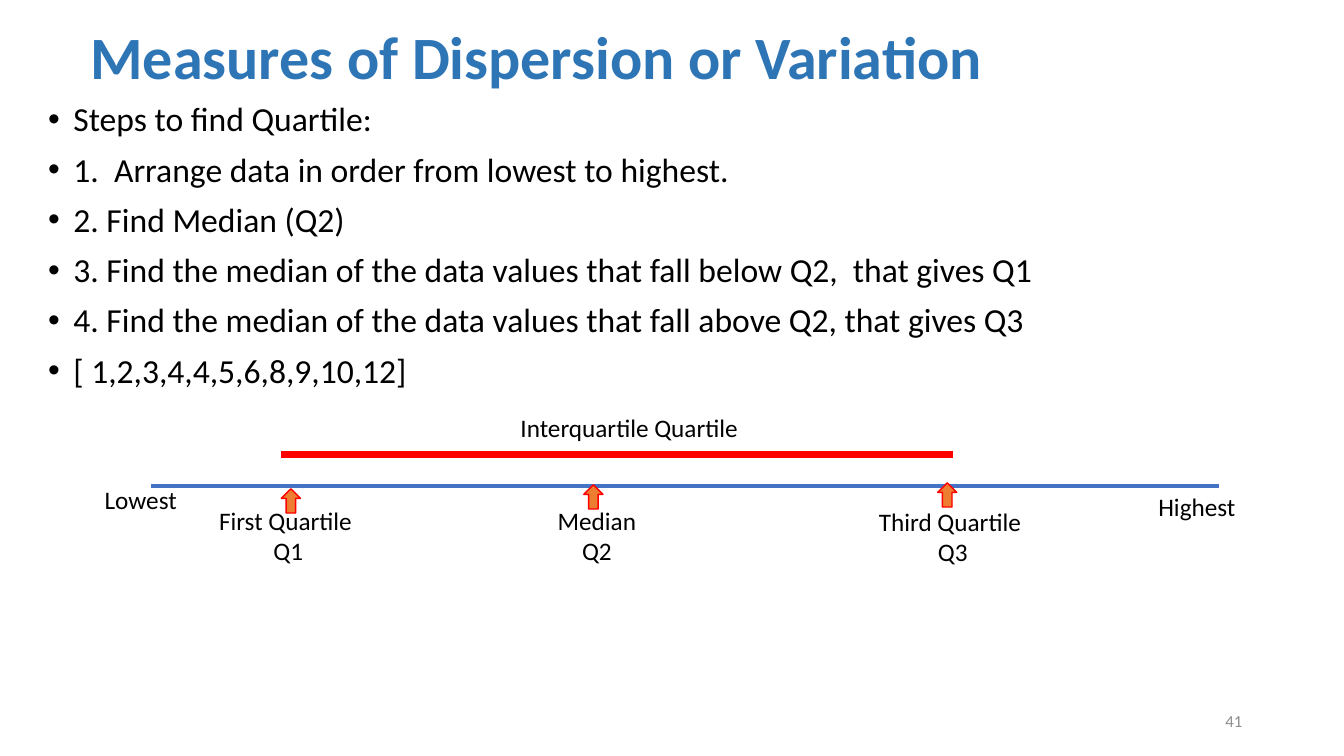
from dataclasses import dataclass

from lxml import etree
from pptx import Presentation
from pptx.dml.color import RGBColor
from pptx.enum.shapes import MSO_CONNECTOR, MSO_SHAPE
from pptx.enum.text import MSO_ANCHOR, PP_ALIGN
from pptx.oxml.ns import qn
from pptx.util import Inches, Pt

LEFT, MID, RIGHT = PP_ALIGN.LEFT, PP_ALIGN.CENTER, PP_ALIGN.RIGHT
TOP, CENTER = MSO_ANCHOR.TOP, MSO_ANCHOR.MIDDLE
STRAIGHT, ARROW = MSO_CONNECTOR.STRAIGHT, MSO_SHAPE.UP_ARROW


@dataclass(frozen=True)
class Theme:
    face: str = "Calibri"
    ink: RGBColor = RGBColor(0, 0, 0)
    title: RGBColor = RGBColor(0x2E, 0x75, 0xB6)
    muted: RGBColor = RGBColor(0x8C, 0x8C, 0x8C)
    axis: RGBColor = RGBColor(0x44, 0x72, 0xC4)
    range: RGBColor = RGBColor(0xFF, 0, 0)
    arrow: RGBColor = RGBColor(0xED, 0x7D, 0x31)
    head_size: float = 42.9
    body_size: int = 24
    label_size: int = 18
    foot_size: int = 12


THEME = Theme()

STEPS = [
    "Steps to find Quartile:",
    "1.  Arrange data in order from lowest to highest.",
    "2. Find Median (Q2)",
    "3. Find the median of the data values that fall below Q2,  that gives Q1",
    "4. Find the median of the data values that fall above Q2, that gives Q3",
    "[ 1,2,3,4,4,5,6,8,9,10,12]",
]

MARKS = [
    (["First Quartile ", "Q1"], 1.98, 4.96, 2.79, 4.85),
    (["Median", "Q2"], 5.04, 4.96, 5.79, 4.81),
    (["Third Quartile ", "Q3"], 8.57, 4.97, 9.3, 4.79),
]

ENDS = [("Lowest", 0.94, 4.76), ("Highest", 11.39, 4.83)]


def add_bullet(para):
    props = para._p.get_or_add_pPr()
    props.set("marL", str(Inches(0.25)))
    props.set("indent", str(-Inches(0.25)))
    etree.SubElement(props, qn("a:buFont")).set("typeface", "Arial")
    etree.SubElement(props, qn("a:buChar")).set("char", "•")


def add_text(slide, lines, box, size, color=THEME.ink, bold=False,
             align=LEFT, anchor=TOP, leading=1.0, gap=0, bullet=False):
    frame = slide.shapes.add_textbox(*map(Inches, box)).text_frame
    frame.word_wrap = True
    frame.vertical_anchor = anchor
    for index, line in enumerate(lines):
        para = frame.add_paragraph() if index else frame.paragraphs[0]
        layout = {"alignment": align, "line_spacing": leading,
                  "space_before": Pt(gap if index else 0)}
        for name, value in layout.items():
            setattr(para, name, value)
        if bullet:
            add_bullet(para)
        run = para.add_run()
        run.text = line
        style = {"name": THEME.face, "size": Pt(size), "bold": bold}
        for name, value in style.items():
            setattr(run.font, name, value)
        run.font.color.rgb = color


def add_line(slide, start, end, level, color, width):
    line = slide.shapes.add_connector(
        STRAIGHT, *map(Inches, (start, level, end, level)))
    line.line.color.rgb = color
    line.line.width = Pt(width)
    etree.SubElement(line._element.spPr, qn("a:effectLst"))


def add_arrow(slide, left, top):
    arrow = slide.shapes.add_shape(
        ARROW, *map(Inches, (left, top, 0.19, 0.24)))
    arrow.shadow.inherit = False
    arrow.fill.solid()
    arrow.fill.fore_color.rgb = THEME.arrow
    arrow.line.color.rgb = THEME.range
    arrow.line.width = Pt(1)


def main():
    deck = Presentation()
    deck.slide_width, deck.slide_height = Inches(13.33), Inches(7.5)
    slide = deck.slides.add_slide(deck.slide_layouts[6])

    add_text(slide, STEPS, (0.38, 0.97, 12.37, 6.03), THEME.body_size,
             leading=0.9, gap=10, bullet=True)
    add_text(slide, ["41"], (9.42, 6.95, 3, 0.4), THEME.foot_size,
             THEME.muted, align=RIGHT, anchor=CENTER)
    add_text(slide, ["Measures of Dispersion or Variation"],
             (0.8, 0.27, 9.55, 0.7), THEME.head_size, THEME.title,
             bold=True, anchor=CENTER, leading=0.8)

    add_line(slide, 1.5, 12.09, 4.82, THEME.axis, 3)
    for word, left, top in ENDS:
        add_text(slide, [word], (left, top, 1.03, 0.4), THEME.label_size)
    for lines, left, top, _, _ in MARKS:
        add_text(slide, lines, (left, top, 1.76, 0.71), THEME.label_size,
                 align=MID)
    add_text(slide, ["Interquartile Quartile "], (5.04, 4.04, 2.4, 0.4),
             THEME.label_size, align=MID)
    add_line(slide, 2.79, 9.45, 4.51, THEME.range, 4.5)
    for _, _, _, left, top in MARKS:
        add_arrow(slide, left, top)

    deck.save("out.pptx")


if __name__ == "__main__":
    main()
